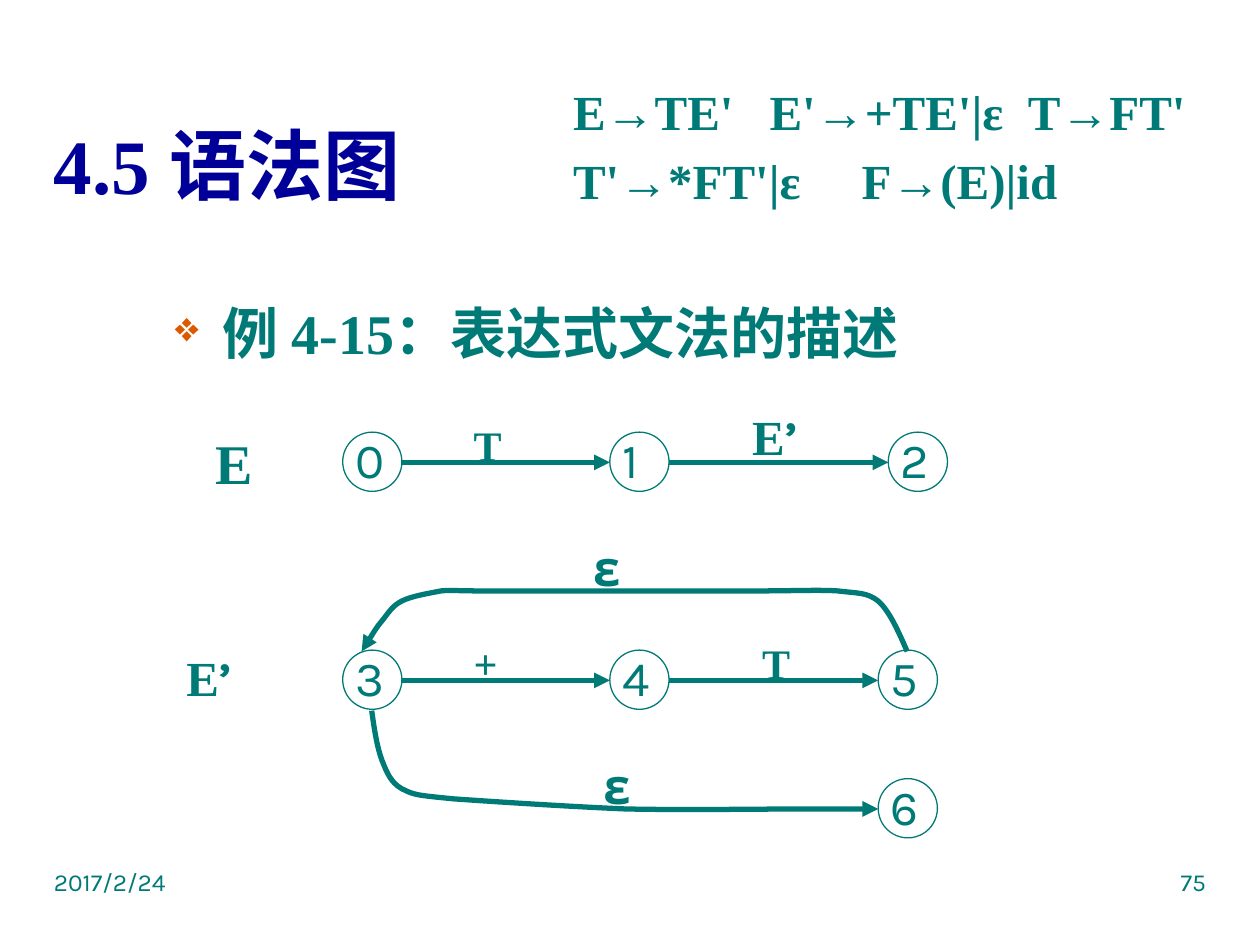
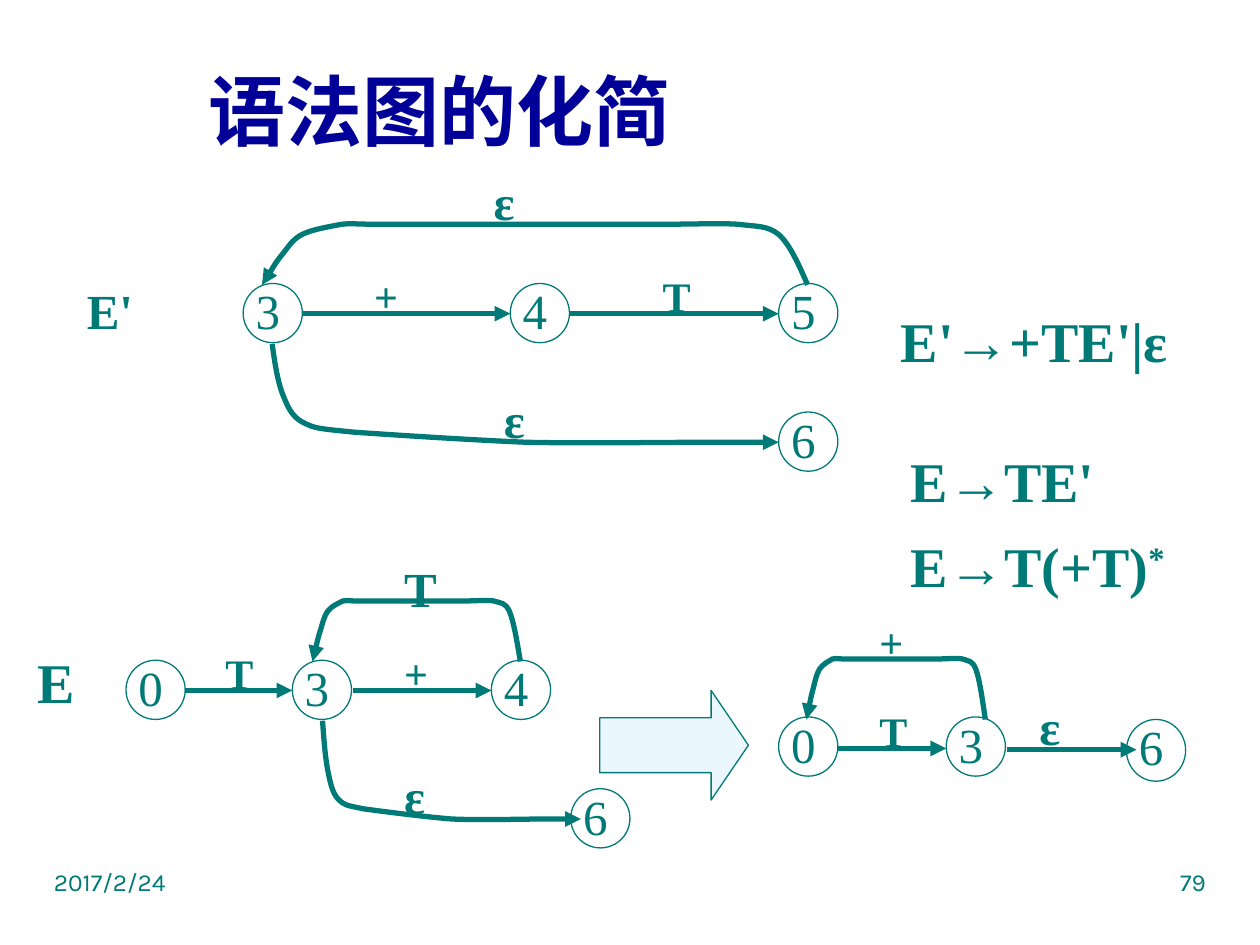
"""Build two slides on syntax diagrams and their simplification."""
import itertools
from dataclasses import dataclass
from typing import Any

import pptx
import pptx.dml.color
import pptx.enum.shapes
import pptx.enum.text
import pptx.oxml.ns
import pptx.util
from lxml import etree

Inches = pptx.util.Inches
Pt = pptx.util.Pt
qn = pptx.oxml.ns.qn
Shape = pptx.enum.shapes.MSO_SHAPE
Align = pptx.enum.text.PP_ALIGN
Anchor = pptx.enum.text.MSO_ANCHOR

COLORS = {"teal": "007A77", "navy": "000099", "orange": "DC5900", "pale": "EBF7FF"}
SERIF, SANS = "Times New Roman", "Karla"
NODE_SIZE = 0.47

LOOP = (
    (433, 49), (426, 33), (419, 17), (410, 9), (401, 2), (394, 3), (378, 1),
    (363, 0), (342, 1), (315, 1), (289, 1), (258, 1), (221, 1), (184, 1),
    (121, 1), (95, 1), (69, 1), (74, 0), (63, 1), (53, 3), (40, 5), (32, 9),
    (24, 13), (21, 19), (16, 25), (11, 31), (6, 40), (0, 49),
)
EXIT = (
    (0, 0), (2, 14), (4, 28), (8, 39), (12, 49), (15, 57), (24, 62),
    (34, 67), (35, 67), (65, 70), (94, 72), (154, 76), (201, 78),
    (248, 79), (312, 78), (346, 78), (379, 78), (390, 78), (402, 78),
)


@dataclass(frozen=True)
class Run:
    text: str
    font: str = SERIF
    size: float = 28
    bold: bool = True
    color: str = "teal"
    superscript: bool = False


@dataclass(frozen=True)
class Line:
    runs: tuple[Run, ...]
    align: Any = Align.LEFT
    before: float = 0
    spacing: float = 1.0
    tabs: tuple[float, ...] = ()
    bullet: str = ""


@dataclass(frozen=True)
class Node:
    label: str
    x: float
    y: float = 0
    height: float = NODE_SIZE


@dataclass(frozen=True)
class Arrow:
    start: float
    end: float
    y: float = 0.24


@dataclass(frozen=True)
class Curve:
    outline: tuple[tuple[int, int], ...]
    x: float
    y: float
    width: float
    height: float


@dataclass(frozen=True)
class Caption:
    text: str
    x: float
    y: float
    size: float = 24


@dataclass(frozen=True)
class Diagram:
    nodes: tuple[Node, ...]
    arrows: tuple[Arrow, ...]
    captions: tuple[Caption, ...]
    curves: tuple[Curve, ...] = ()


EXPRESSION = Diagram(
    (Node("0", 0), Node("1", 2.12), Node("2", 4.33)),
    (Arrow(0.47, 2.12), Arrow(2.59, 4.33)),
    (Caption("E", -1.11, -0.08, 32), Caption("T", 0.94, -0.15),
     Caption("E’", 3.15, -0.25, 28)),
)
REMAINDER = Diagram(
    (Node("3", 0), Node("4", 2.12), Node("5", 4.25), Node("6", 4.25, 1.02)),
    (Arrow(0.47, 2.12), Arrow(2.59, 4.25)),
    (Caption("+", 0.94, -0.15), Caption("T", 3.23, -0.15),
     Caption("ε", 1.97, 0.79, 28), Caption("ε", 1.89, -0.94, 28)),
    (Curve(EXIT, 0.23, 0.48, 4.02, 0.79), Curve(LOOP, 0.15, -0.48, 4.33, 0.49)),
)
SUBSTITUTED = Diagram(
    (Node("0", 0), Node("3", 1.32), Node("4", 2.9), Node("6", 3.53, 1.02)),
    (Arrow(0.47, 1.32), Arrow(1.8, 2.9)),
    (Caption("E", -0.8, -0.15, 32), Caption("T", 0.69, -0.15),
     Caption("+", 2.11, -0.15), Caption("ε", 2.11, 0.79, 28),
     Caption("T", 2.11, -0.86, 28)),
    (Curve(EXIT, 1.56, 0.48, 2.05, 0.79), Curve(LOOP, 1.48, -0.48, 1.65, 0.49)),
)
SIMPLIFIED = Diagram(
    (Node("0", 0), Node("3", 1.33), Node("6", 2.76, 0.02, 0.49)),
    (Arrow(0.47, 1.33, 0.25), Arrow(1.81, 2.84, 0.26)),
    (Caption("+", 0.7, -0.85), Caption("T", 0.7, -0.14),
     Caption("ε", 1.97, -0.21, 28)),
    (Curve(LOOP, 0.22, -0.47, 1.42, 0.49),),
)


def rgb(name: str) -> Any:
    """Return the named colour."""
    return pptx.dml.color.RGBColor.from_string(COLORS[name])


def add_tabs(properties: Any, stops: tuple[float, ...]) -> None:
    """Add left tab stops to a paragraph."""
    tab_list = etree.SubElement(properties, qn("a:tabLst"))
    for stop in stops:
        etree.SubElement(tab_list, qn("a:tab"), pos=str(Inches(stop)), algn="l")


def add_bullet(properties: Any, symbol: str) -> None:
    """Add a hanging coloured bullet to a paragraph."""
    indent = Inches(0.38)
    properties.set("marL", str(indent))
    properties.set("indent", str(-indent))
    color = etree.SubElement(properties, qn("a:buClr"))
    etree.SubElement(color, qn("a:srgbClr"), val=COLORS["orange"])
    etree.SubElement(properties, qn("a:buSzPct"), val="75000")
    etree.SubElement(properties, qn("a:buChar"), char=symbol)


def write(holder: Any, left: float, top: float, width: float, height: float,
          *lines: Line, anchor: Any = Anchor.TOP) -> None:
    """Place lines of text in a wrapping box on a slide or in a group."""
    frame = holder.shapes.add_textbox(
        Inches(left), Inches(top), Inches(width), Inches(height)).text_frame
    frame.word_wrap = True
    frame.vertical_anchor = anchor
    for index, line in enumerate(lines):
        paragraph = frame.add_paragraph() if index else frame.paragraphs[0]
        paragraph.alignment = line.align
        paragraph.line_spacing = line.spacing
        paragraph.space_before = Pt(line.before)
        properties = paragraph._p.get_or_add_pPr()
        if line.bullet:
            add_bullet(properties, line.bullet)
        if line.tabs:
            add_tabs(properties, line.tabs)
        for part in line.runs:
            run = paragraph.add_run()
            run.text = part.text
            run.font.name = part.font
            run.font.size = Pt(part.size)
            run.font.bold = part.bold
            run.font.color.rgb = rgb(part.color)
            if part.superscript:
                run._r.get_or_add_rPr().set("baseline", "30000")


def add_outlined(holder: Any, kind: Any, left: float, top: float, width: float,
                 height: float, fill: str = "") -> Any:
    """Add a thinly outlined preset shape."""
    shape = holder.shapes.add_shape(
        kind, Inches(left), Inches(top), Inches(width), Inches(height))
    shape.shadow.inherit = False
    if fill:
        shape.fill.solid()
        shape.fill.fore_color.rgb = rgb(fill)
    else:
        shape.fill.background()
    shape.line.color.rgb = rgb("teal")
    shape.line.width = Pt(0.75)
    return shape


def style_edge(edge: Any) -> None:
    """Give an edge its thick line and arrowhead."""
    edge.line.color.rgb = rgb("teal")
    edge.line.width = Pt(3)
    outline = edge._element.spPr.find(qn("a:ln"))
    etree.SubElement(outline, qn("a:tailEnd"), type="triangle")


def draw_curve(slide: Any, curve: Curve, left: float, top: float) -> None:
    """Draw a chain of cubic curves scaled to its box."""
    x_scale = curve.width / max(x for x, _ in curve.outline)
    y_scale = curve.height / max(y for _, y in curve.outline)
    start, *controls = [
        (Inches(left + curve.x + x * x_scale), Inches(top + curve.y + y * y_scale))
        for x, y in curve.outline]
    builder = slide.shapes.build_freeform(*start)
    builder.add_line_segments(controls, close=False)
    edge = builder.convert_to_shape()
    segments = list(edge._element.iter(qn("a:lnTo")))
    for first in range(0, len(segments), 3):
        cubic = etree.SubElement(segments[first].getparent(), qn("a:cubicBezTo"))
        for segment in segments[first:first + 3]:
            cubic.append(segment[0])
            segment.getparent().remove(segment)
    edge.shadow.inherit = False
    edge.fill.background()
    style_edge(edge)


def draw_caption(slide: Any, caption: Caption, left: float, top: float, font: str) -> None:
    """Write a caption, with its special symbols in the diagram font."""
    pieces = itertools.groupby(caption.text, lambda symbol: font if symbol in "ε’" else SERIF)
    runs = tuple(Run("".join(symbols), face, caption.size) for face, symbols in pieces)
    width, height = {24: (0.71, 0.5), 28: (0.71, 0.57), 32: (0.5, 0.63)}[caption.size]
    write(slide, left + caption.x, top + caption.y, width, height, Line(runs))


def draw_diagram(slide: Any, diagram: Diagram, left: float, top: float, font: str) -> None:
    """Draw a syntax diagram from its first node's corner."""
    for node in diagram.nodes:
        x, y = left + node.x, top + node.y
        state = slide.shapes.add_group_shape()
        add_outlined(state, Shape.OVAL, x, y, NODE_SIZE, node.height)
        write(state, x, y - 0.07, NODE_SIZE, 0.57, Line((Run(node.label, font, bold=False),)))
    for arrow in diagram.arrows:
        y = Inches(top + arrow.y)
        edge = slide.shapes.add_connector(
            pptx.enum.shapes.MSO_CONNECTOR.STRAIGHT,
            Inches(left + arrow.start), y, Inches(left + arrow.end), y)
        style_edge(edge)
        etree.SubElement(edge._element.spPr, qn("a:effectLst"))
    for curve in diagram.curves:
        draw_curve(slide, curve, left, top)
    for caption in diagram.captions:
        draw_caption(slide, caption, left, top, font)


def add_page(deck: Any, title: str, box: tuple[float, ...], align: Any, number: str) -> Any:
    """Add a slide with title, date and page number."""
    slide = deck.slides.add_slide(deck.slide_layouts[6])
    write(slide, *box, Line((Run(title, size=44, color="navy"),), align), anchor=Anchor.MIDDLE)
    for left, text, side in ((0.33, "2017/2/24", Align.LEFT), (7.17, number, Align.RIGHT)):
        write(slide, left, 6.83, 2.5, 0.52, Line((Run(text, SANS, 14, False),), side))
    return slide


def main() -> None:
    """Build and save the deck."""
    deck = pptx.Presentation()
    deck.slide_width, deck.slide_height = Inches(10), Inches(7.5)

    example = add_page(deck, "4.5 语法图", (0.33, 0.67, 9.34, 1.25), Align.LEFT, "75")
    write(example, 1.29, 2.21, 7.88, 0.76,
          Line((Run("例 4-15：表达式文法的描述", size=32),), spacing=1.2, bullet="❖"))
    write(example, 4.45, 0.6, 5.55, 1.13,
          Line((Run("E→TE'\tE'→+TE'|ε\tT→FT'"),), tabs=(1.56, 3.61)),
          Line((Run("T'→*FT'|ε\tF→(E)|id"),), before=5.6, tabs=(2.29,)))
    draw_diagram(example, EXPRESSION, 2.72, 3.43, SANS)
    draw_diagram(example, REMAINDER, 2.72, 5.16, SANS)
    draw_caption(example, Caption("E’", -1.34, -0.07, 28), 2.72, 5.16, SANS)

    simplification = add_page(deck, "语法图的化简", (0.98, 0.36, 5.02, 1.03), Align.CENTER, "79")
    write(simplification, 7.05, 2.33, 2.81, 0.69,
          Line((Run("E'→+TE'|ε", size=32),), spacing=1.1))
    write(simplification, 7.13, 3.44, 2.82, 1.38,
          Line((Run("E→TE'", size=32),), spacing=1.1),
          Line((Run("E→T(+T)", size=32), Run("*", size=32, superscript=True)),
               before=6.4, spacing=1.1))
    draw_diagram(simplification, REMAINDER, 1.93, 2.25, SERIF)
    draw_caption(simplification, Caption("E'", -1.34, -0.07, 28), 1.93, 2.25, SERIF)
    draw_diagram(simplification, SUBSTITUTED, 1, 5.24, SERIF)
    draw_diagram(simplification, SIMPLIFIED, 6.18, 5.69, SERIF)
    becomes = add_outlined(simplification, Shape.RIGHT_ARROW, 4.76, 5.48, 1.18, 0.87, "pale")
    becomes.adjustments[1] = 0.34

    deck.save("out.pptx")


if __name__ == "__main__":
    main()
